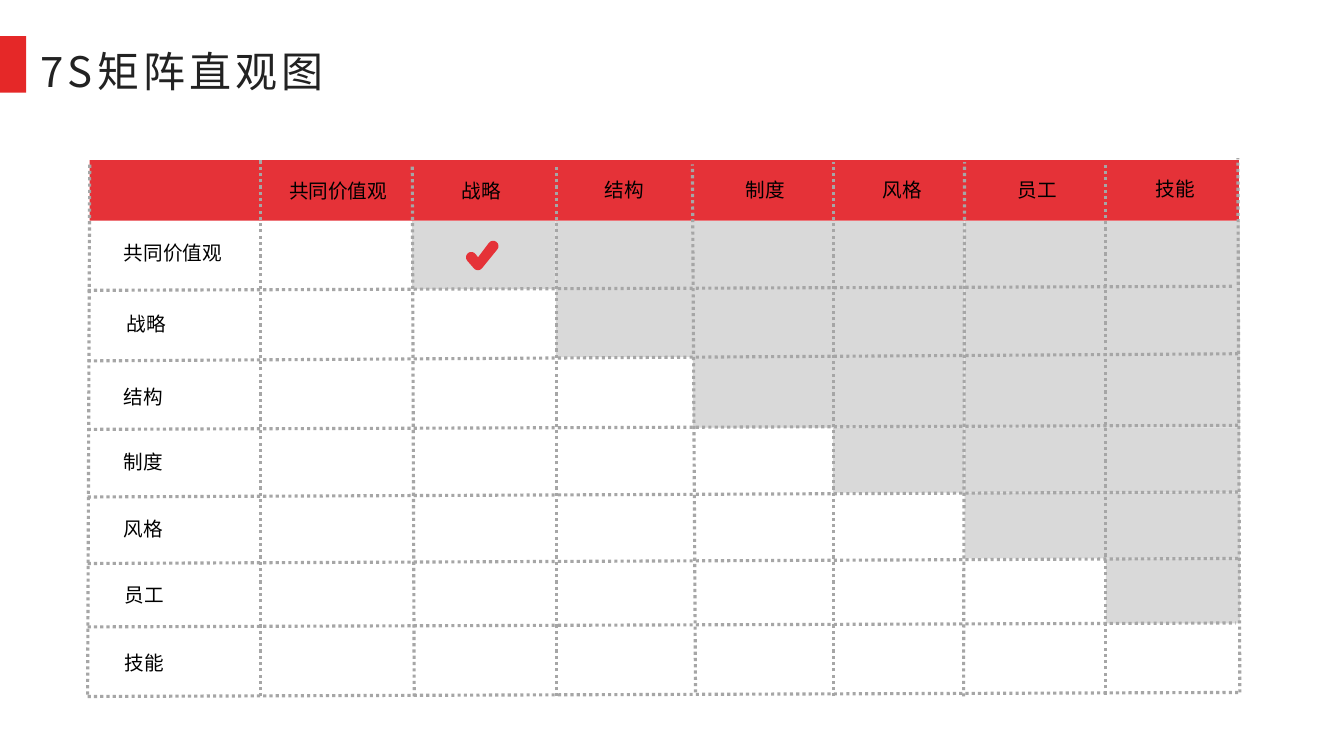
from dataclasses import dataclass
from math import cos, radians, sin
from lxml.etree import SubElement
from pptx import Presentation
from pptx.dml.color import RGBColor
from pptx.enum.dml import MSO_LINE
from pptx.enum.shapes import MSO_CONNECTOR, MSO_SHAPE
from pptx.enum.text import MSO_AUTO_SIZE
from pptx.oxml.ns import qn
from pptx.util import Pt


@dataclass(frozen=True)
class Theme:
    font: str = "Noto Sans CJK SC"
    red: str = "E53238"
    marker: str = "E52828"
    shade: str = "D9D9D9"
    grid: str = "A6A6A6"
    title: str = "222222"
    text: str = "000000"
    title_size: int = 30
    label_size: int = 14
    grid_width: float = 2.25


def write(tf, text, *, font, size, color, spacing=0, line_spacing=None):
    p = tf.paragraphs[0]
    p.line_spacing = line_spacing
    r = p.add_run()
    r.text = text
    r.font.name = font
    r.font.size = Pt(size)
    r.font.color.rgb = RGBColor.from_string(color)
    rPr = r.font._element
    SubElement(rPr, qn("a:ea")).set("typeface", font)
    if spacing:
        rPr.set("spc", str(spacing * 100))


class Canvas:
    def __init__(self, s, theme):
        self.s = s
        self.theme = theme

    def paint(self, sp, color):
        sp.shadow.inherit = False
        sp.fill.solid()
        sp.fill.fore_color.rgb = RGBColor.from_string(color)
        sp.line.fill.background()

    def rect(self, x, y, w, h, color):
        sp = self.s.shapes.add_shape(MSO_SHAPE.RECTANGLE, Pt(x), Pt(y), Pt(w), Pt(h))
        self.paint(sp, color)

    def outline(self, points, color):
        points = [(Pt(x), Pt(y)) for x, y in points]
        fb = self.s.shapes.build_freeform(*points[0], scale=1.0)
        fb.add_line_segments(points[1:], close=True)
        self.paint(fb.convert_to_shape(), color)

    def dotted_line(self, x1, y1, x2, y2):
        cx = self.s.shapes.add_connector(MSO_CONNECTOR.STRAIGHT, Pt(x1), Pt(y1), Pt(x2), Pt(y2))
        cx.line.color.rgb = RGBColor.from_string(self.theme.grid)
        cx.line.width = Pt(self.theme.grid_width)
        cx.line.dash_style = MSO_LINE.ROUND_DOT
        SubElement(cx._element.spPr, qn("a:effectLst"))

    def text_box(self, x, y, w, h, wrap):
        tf = self.s.shapes.add_textbox(Pt(x), Pt(y), Pt(w), Pt(h)).text_frame
        tf.word_wrap = wrap
        tf.auto_size = MSO_AUTO_SIZE.SHAPE_TO_FIT_TEXT
        return tf

    def title(self, text, x, y, w, h):
        t = self.theme
        tf = self.text_box(x, y, w, h, True)
        tf.margin_left = tf.margin_right = tf.margin_top = tf.margin_bottom = Pt(3.6)
        write(tf, text, font=t.font, size=t.title_size, color=t.title, spacing=3, line_spacing=1.2)

    def label(self, text, x, y):
        t = self.theme
        tf = self.text_box(x, y, 14.4 + t.label_size * len(text), 24.5, False)
        write(tf, text, font=t.font, size=t.label_size, color=t.text)


FACTORS = ["共同价值观", "战略", "结构", "制度", "风格", "员工", "技能"]
HEADER_X = [199.4, 322.6, 424.8, 525.6, 623.5, 720, 818.6]
HEADER_Y = [124.6, 124.6, 123.8, 123.8, 123.8, 123.8, 123.1]
SIDE_X = [81.4, 83.5, 81.4, 81.4, 81.4, 82.1, 82.1]
SIDE_Y = [168.5, 219.6, 271.4, 318.2, 365.8, 412.6, 461.5]
SHADE_X = [294.5, 397, 495, 595, 689, 790, 885.6]
SHADE_Y = [157.7, 206.6, 255.2, 305.5, 352, 398.9, 445.3]
GRID_LEFT = 62.6
ROW_LINES = [
    (207.4, 882, 204.5), (257.8, 886.3, 252.7), (306.7, 884.2, 303.8),
    (355, 884.2, 351.4), (402.5, 885.6, 398.9), (447.8, 882.7, 445),
    (497.5, 886.3, 494.6),
]
COLUMN_LINES = [
    (62.6, 496.1, 64.1, 115.9), (185.8, 497.5, 185.8, 114.5), (295.9, 497.5, 294.5, 117.4),
    (397.4, 497.5, 397.4, 117.4), (496.8, 494.6, 494.6, 117.4), (595.4, 497.5, 595.4, 115.9),
    (688.3, 497.5, 689, 115.9), (789.8, 496.1, 789.8, 115.9), (885.6, 494.6, 884.2, 113),
]
CHECK_RADIUS = 3.8
CHECK_INNER = (341.5, 183.8)
CHECK_ARCS = [(352.3, 175.8, -142, 38), (341.4, 189.2, 38, 143), (336.7, 183.8, 143, 323)]


def check_points():
    points = [CHECK_INNER]
    for x, y, start, end in CHECK_ARCS:
        for i in range(9):
            a = radians(start + (end - start) * i / 8)
            points.append((x + CHECK_RADIUS * cos(a), y + CHECK_RADIUS * sin(a)))
    return points


def main():
    prs = Presentation()
    prs.slide_width, prs.slide_height = Pt(960), Pt(540)
    theme = Theme()
    c = Canvas(prs.slides.add_slide(prs.slide_layouts[6]), theme)

    c.rect(0, 25.9, 18.7, 40.3, theme.marker)
    c.title("7S矩阵直观图", 25.2, 21.6, 453.6, 47.5)

    for row in range(6):
        for col in range(row, 6):
            x, y = SHADE_X[col], SHADE_Y[row]
            c.rect(x, y, SHADE_X[col + 1] - x, SHADE_Y[row + 1] - y, theme.shade)

    for left_y, right_x, right_y in ROW_LINES:
        c.dotted_line(GRID_LEFT, left_y, right_x, right_y)
    c.rect(64.1, 114.5, 820.8, 43.2, theme.red)
    for ends in COLUMN_LINES:
        c.dotted_line(*ends)

    for xs, ys in ((HEADER_X, HEADER_Y), (SIDE_X, SIDE_Y)):
        for factor, x, y in zip(FACTORS, xs, ys):
            c.label(factor, x, y)

    c.outline(check_points(), theme.red)
    prs.save("out.pptx")


if __name__ == "__main__":
    main()
